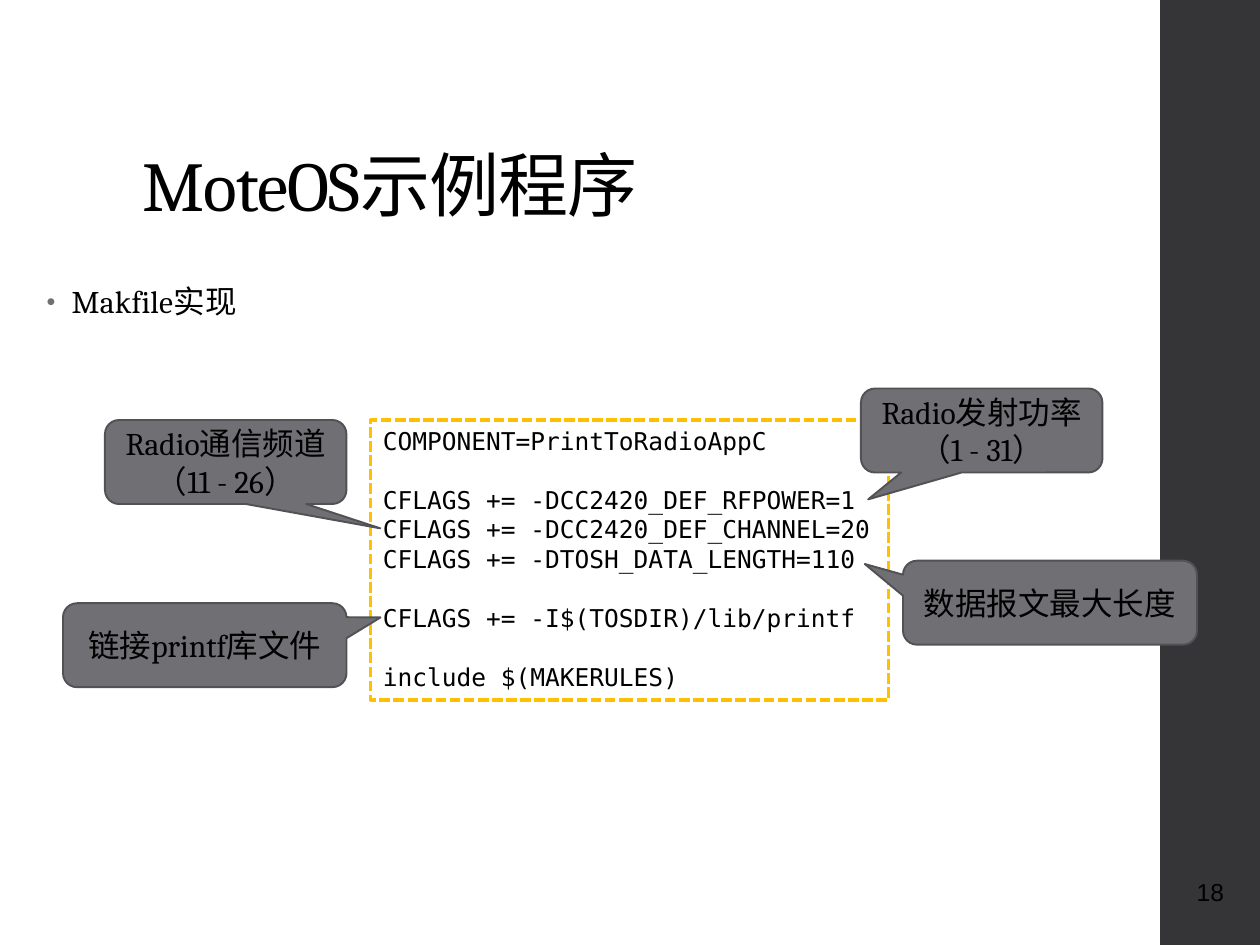
import dataclasses

import pptx
import pptx.dml.color
import pptx.enum.dml
import pptx.enum.shapes
import pptx.enum.text
import pptx.oxml.ns
import pptx.util
from lxml import etree

Pt = pptx.util.Pt
Align = pptx.enum.text.PP_ALIGN
Anchor = pptx.enum.text.MSO_ANCHOR
Shape = pptx.enum.shapes.MSO_SHAPE


@dataclasses.dataclass(frozen=True)
class Theme:
    text: str = "000000"
    bar: str = "353537"
    accent: str = "6F6F74"
    outline: str = "525256"
    code_border: str = "FFC000"
    serif: str = "Cambria"
    sans: str = "Arial"
    mono: str = "DejaVu Sans Mono"
    title_size: float = 40
    body_size: float = 18
    small_size: float = 14
    code_line: float = 16.8


def rgb(value):
    return pptx.dml.color.RGBColor.from_string(value)


class SlideBuilder:
    def __init__(self, slide, theme):
        self.slide = slide
        self.theme = theme

    def place(self, shape, box):
        shape.left, shape.top, shape.width, shape.height = map(Pt, box)

    def add_run(self, paragraph, text, font_name, size, spacing=None):
        """Add a styled run; spacing is in hundredths of a point."""
        run = paragraph.add_run()
        run.text = text
        run.font.name = font_name
        run.font.size = Pt(size)
        run.font.color.rgb = rgb(self.theme.text)
        if spacing is not None:
            run.font._element.set("spc", str(spacing))

    def add_bullet(self, paragraph, indent):
        properties = paragraph._p.get_or_add_pPr()
        properties.set("marL", str(Pt(indent)))
        properties.set("indent", str(-Pt(indent)))
        qn = pptx.oxml.ns.qn
        color = etree.SubElement(properties, qn("a:buClr"))
        etree.SubElement(color, qn("a:srgbClr"), val=self.theme.accent)
        etree.SubElement(properties, qn("a:buSzPct"), val="80000")
        etree.SubElement(properties, qn("a:buFont"), typeface=self.theme.sans)
        etree.SubElement(properties, qn("a:buChar"), char="•")

    def title(self, box, text):
        shape = self.slide.shapes.title
        self.place(shape, box)
        frame = shape.text_frame
        frame.auto_size = pptx.enum.text.MSO_AUTO_SIZE.NONE
        frame.vertical_anchor = Anchor.BOTTOM
        paragraph = frame.paragraphs[0]
        paragraph.alignment = Align.LEFT
        paragraph.line_spacing = 0.9
        self.add_run(paragraph, text, self.theme.serif, self.theme.title_size, -50)

    def body(self, box, text):
        shape = self.slide.placeholders[1]
        self.place(shape, box)
        frame = shape.text_frame
        frame.auto_size = pptx.enum.text.MSO_AUTO_SIZE.NONE
        paragraph = frame.paragraphs[0]
        self.add_bullet(paragraph, 14.4)
        paragraph.line_spacing = 0.95
        paragraph.space_before = Pt(0)
        paragraph.space_after = Pt(2)
        self.add_run(paragraph, text, self.theme.serif, self.theme.body_size, 10)

    def shape(self, kind, box, fill=None, line=None, line_width=1.1):
        shape = self.slide.shapes.add_shape(kind, *map(Pt, box))
        shape.shadow.inherit = False
        if fill:
            shape.fill.solid()
            shape.fill.fore_color.rgb = rgb(fill)
        else:
            shape.fill.background()
        if line:
            shape.line.color.rgb = rgb(line)
            shape.line.width = Pt(line_width)
        else:
            shape.line.fill.background()
        return shape

    def side_bar(self, box):
        self.shape(Shape.RECTANGLE, box, self.theme.bar)

    def page_number(self, box, text):
        frame = self.slide.shapes.add_textbox(*map(Pt, box)).text_frame
        frame.word_wrap = True
        frame.vertical_anchor = Anchor.MIDDLE
        frame.margin_left = frame.margin_right = Pt(2.2)
        paragraph = frame.paragraphs[0]
        paragraph.alignment = Align.CENTER
        self.add_run(paragraph, text, self.theme.sans, self.theme.small_size)

    def code(self, box, blocks):
        """Show blocks of code lines, one line's height apart."""
        theme = self.theme
        shape = self.shape(Shape.RECTANGLE, box, line=theme.code_border, line_width=2)
        shape.line.dash_style = pptx.enum.dml.MSO_LINE.SQUARE_DOT
        frame = shape.text_frame
        frame.word_wrap = False
        frame.vertical_anchor = Anchor.TOP
        paragraph = frame.paragraphs[0]
        for block_index, block in enumerate(blocks):
            for line_index, text in enumerate(block):
                if block_index or line_index:
                    paragraph = frame.add_paragraph()
                paragraph.alignment = Align.LEFT
                if block_index and not line_index:
                    paragraph.space_before = Pt(theme.code_line)
                self.add_run(paragraph, text, theme.mono, theme.small_size)

    def callout(self, box, tip, text):
        """Tip is the pointer's offset from the centre, as shares of the size."""
        theme = self.theme
        shape = self.shape(Shape.ROUNDED_RECTANGULAR_CALLOUT, box, theme.accent, theme.outline)
        shape.adjustments[0], shape.adjustments[1] = tip
        frame = shape.text_frame
        frame.word_wrap = True
        frame.vertical_anchor = Anchor.MIDDLE
        paragraph = frame.paragraphs[0]
        paragraph.alignment = Align.CENTER
        self.add_run(paragraph, text, theme.serif, theme.body_size)


CODE_BLOCKS = [
    ["COMPONENT=PrintToRadioAppC"],
    [
        "CFLAGS += -DCC2420_DEF_RFPOWER=1",
        "CFLAGS += -DCC2420_DEF_CHANNEL=20",
        "CFLAGS += -DTOSH_DATA_LENGTH=110",
    ],
    ["CFLAGS += -I$(TOSDIR)/lib/printf"],
    ["include $(MAKERULES)"],
]

CALLOUTS = [
    ((492, 222, 138, 48), (-0.47, 0.82), "Radio发射功率（1 - 31）"),
    ((60, 240, 138, 48), (0.64, 0.79), "Radio通信频道（11 - 26）"),
    ((516, 320.4, 168, 48), (-0.63, -0.46), "数据报文最大长度"),
    ((36, 344.7, 162, 48), (0.62, -0.33), "链接printf库文件"),
]


def main():
    presentation = pptx.Presentation()
    presentation.slide_width = Pt(720)
    presentation.slide_height = Pt(540)
    slide = presentation.slides.add_slide(presentation.slide_layouts[1])
    builder = SlideBuilder(slide, Theme())
    builder.side_bar((663, 0, 57.6, 540))
    builder.title((74.2, 28.8, 572.4, 104.4), "MoteOS示例程序")
    builder.body((19.4, 159, 583.2, 271.4), "Makfile实现")
    builder.page_number((664.6, 486, 54, 46.8), "18")
    builder.code((211.7, 240, 296, 160), CODE_BLOCKS)
    for box, tip, text in CALLOUTS:
        builder.callout(box, tip, text)
    presentation.save("out.pptx")


if __name__ == "__main__":
    main()
